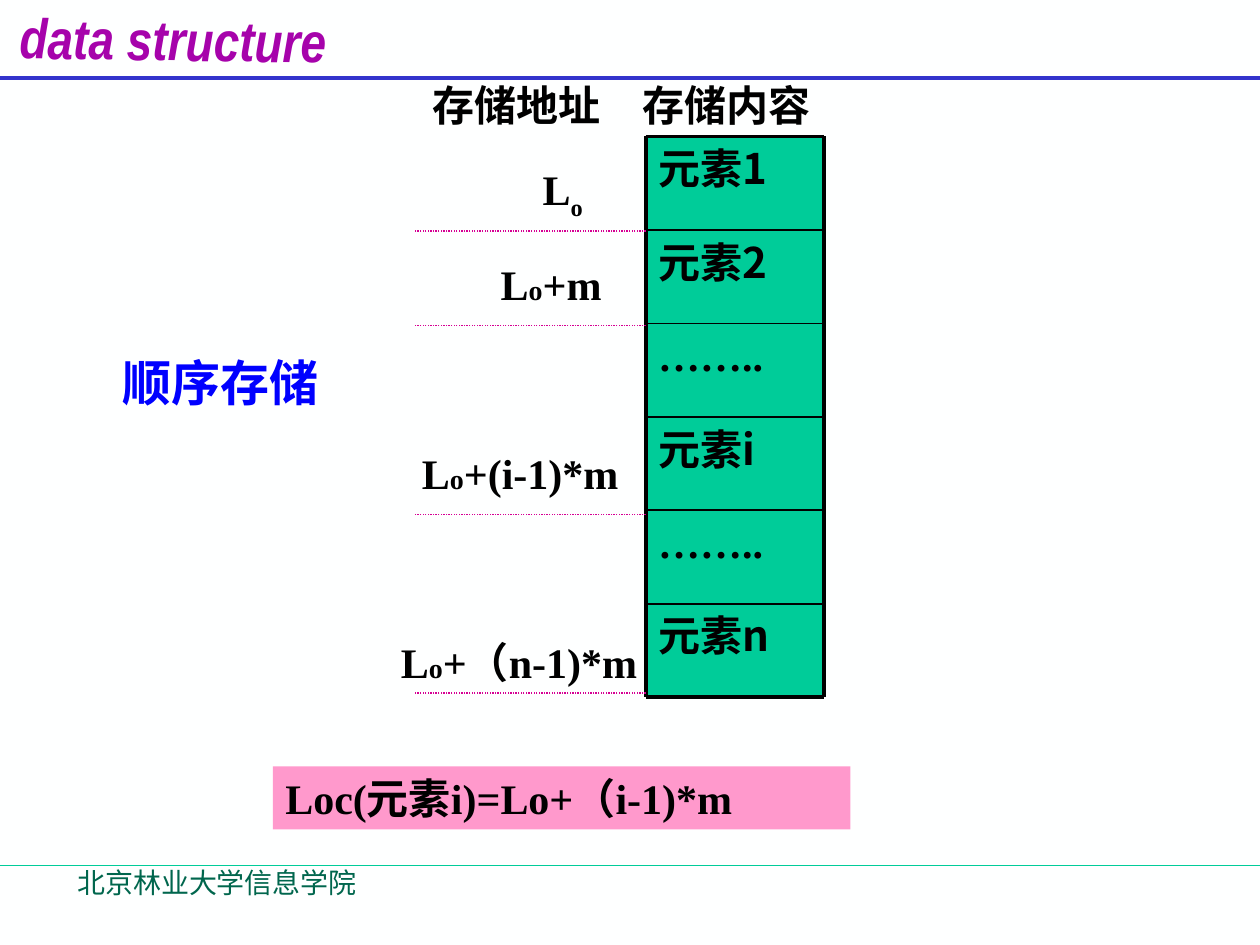
import pptx
import pptx.dml.color
import pptx.enum.dml
import pptx.enum.shapes
import pptx.enum.text
import pptx.oxml
import pptx.oxml.ns
import pptx.util

COLUMNS, ROWS = 120, 90
WIDTH, HEIGHT = pptx.util.Inches(10), pptx.util.Inches(7.5)
LATIN, CHINESE = "Times New Roman", "Noto Sans CJK SC"
CELL_LEFT, CELL_RIGHT, CELL_TOP, CELL_HEIGHT = 61.5, 78.5, 13, 8.9
CELLS = ["元素1", "元素2", "……..", "元素i", "……..", "元素n"]
HEADINGS = [("存储地址", (40, 7, 20.5, 6)), ("存储内容", (60, 7, 19, 6))]
ADDRESSES = [
    ("+m", (46.5, 24, 14, 6)),
    ("+(i-1)*m", (39, 42, 25.5, 6)),
    ("+（n-1)*m", (37, 60, 25, 10.8)),
]


def color(value):
    """Turn a hex string into a colour."""
    return pptx.dml.color.RGBColor.from_string(value)


def grid(column, row):
    """Turn a column and a row of the grid into slide lengths."""
    return round(column * WIDTH / COLUMNS), round(row * HEIGHT / ROWS)


def add_run(paragraph, text, ink="000000", subscript=False, **formats):
    """Add a run of formatted text to a paragraph."""
    run = paragraph.add_run()
    run.text = text
    values = {"name": LATIN, "size": 24, "bold": True} | formats
    values["size"] = pptx.util.Pt(values["size"])
    for name, value in values.items():
        setattr(run.font, name, value)
    run.font.color.rgb = color(ink)
    properties = run._r.get_or_add_rPr()
    if subscript:
        properties.set("baseline", "-25000")
    east_asian = pptx.oxml.parse_xml(
        f'<a:ea {pptx.oxml.ns.nsdecls("a")} typeface="{CHINESE}"/>'
    )
    properties.find(pptx.oxml.ns.qn("a:latin")).addnext(east_asian)


def add_box(slide, area, text="", fill=None, wrap=True, **formats):
    """Add a text box or filled rectangle and return its shape."""
    bounds = (*grid(*area[:2]), *grid(*area[2:]))
    if fill:
        rectangle = pptx.enum.shapes.MSO_SHAPE.RECTANGLE
        shape = slide.shapes.add_shape(rectangle, *bounds)
        shape.shadow.inherit = False
        shape.fill.solid()
        shape.fill.fore_color.rgb = color(fill)
        shape.line.fill.background()
    else:
        shape = slide.shapes.add_textbox(*bounds)
    frame = shape.text_frame
    frame.word_wrap = wrap
    frame.vertical_anchor = pptx.enum.text.MSO_ANCHOR.TOP
    paragraph = frame.paragraphs[0]
    paragraph.alignment = pptx.enum.text.PP_ALIGN.LEFT
    if text:
        add_run(paragraph, text, **formats)
    return shape


def add_line(slide, start, end, ink, weight, dash=None):
    """Add a straight line between two grid points."""
    straight = pptx.enum.shapes.MSO_CONNECTOR.STRAIGHT
    line = slide.shapes.add_connector(straight, *grid(*start), *grid(*end))
    line.line.color.rgb = color(ink)
    line.line.width = pptx.util.Pt(weight)
    if dash:
        line.line.dash_style = dash
    effects = pptx.oxml.parse_xml(f'<a:effectLst {pptx.oxml.ns.nsdecls("a")}/>')
    line._element.spPr.append(effects)


def add_frame(slide):
    """Add the slide's rules, title and footer."""
    add_line(slide, (0, 82.4), (COLUMNS, 82.4), "00CC99", 0.75)
    add_line(slide, (0, 7.4), (COLUMNS, 7.4), "3333CC", 2.25)
    title = add_box(slide, (0.7, -0.1, 34, 6.5), "data structure",
                    ink="A603AB", name="Arial Narrow", size=32, italic=True)
    title.rotation = 0.8
    add_box(slide, (6.2, 81.8, 49.7, 6), "北京林业大学信息学院",
            ink="00664D", name=CHINESE, size=16, bold=False)


def add_storage(slide):
    """Add the column of stored elements with its borders."""
    width = CELL_RIGHT - CELL_LEFT
    edges = [CELL_TOP + CELL_HEIGHT * index for index in range(len(CELLS) + 1)]
    for text, top in zip(CELLS, edges):
        font = CHINESE if text.startswith("元素") else LATIN
        add_box(slide, (CELL_LEFT, top, width, CELL_HEIGHT), text,
                fill="00CC99", name=font)
    for edge in edges:
        weight = 2.25 if edge in (edges[0], edges[-1]) else 1
        add_line(slide, (CELL_LEFT, edge), (CELL_RIGHT, edge), "000000", weight)
    for side in (CELL_LEFT, CELL_RIGHT):
        add_line(slide, (side, edges[0]), (side, edges[-1]), "000000", 2.25)


def add_addresses(slide):
    """Add the address labels and their dotted guide lines."""
    first = add_box(slide, (50.5, 15, 10, 6.7), "L")
    add_run(first.text_frame.paragraphs[0], "o", subscript=True)
    for offset, area in ADDRESSES:
        paragraph = add_box(slide, area, "L").text_frame.paragraphs[0]
        add_run(paragraph, "o", size=16)
        add_run(paragraph, offset)
    dots = pptx.enum.dml.MSO_LINE.ROUND_DOT
    for row in (22, 31, 49, 66):
        add_line(slide, (CELL_LEFT, row), (39.5, row), "D60093", 0.75, dots)


def main():
    """Build and save the sequential storage slide."""
    presentation = pptx.Presentation()
    presentation.slide_width, presentation.slide_height = WIDTH, HEIGHT
    slide = presentation.slides.add_slide(presentation.slide_layouts[6])
    slide.background.fill.solid()
    slide.background.fill.fore_color.rgb = color("FEFFFF")
    add_frame(slide)
    add_storage(slide)
    add_addresses(slide)
    for text, area in HEADINGS:
        add_box(slide, area, text)
    add_box(slide, (26, 73, 55, 6), "Loc(元素i)=Lo+（i-1)*m", fill="FF99CC")
    add_box(slide, (10.5, 33, 21, 6.8), "顺序存储", wrap=False,
            ink="0000FF", size=28)
    presentation.save("out.pptx")


if __name__ == "__main__":
    main()
